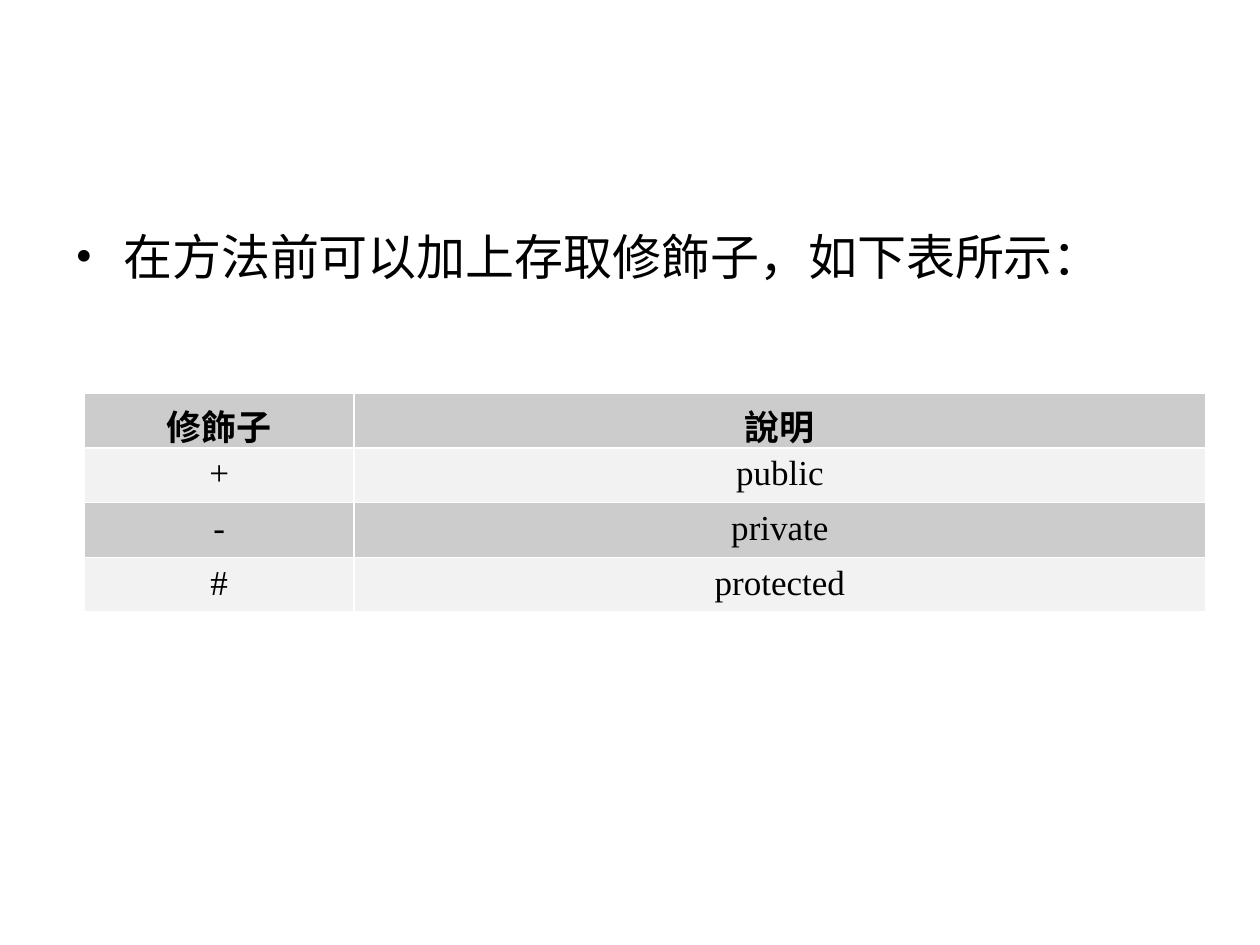
"""Slide on the access modifiers that may precede a method."""
from dataclasses import dataclass

from lxml.etree import SubElement
from pptx import Presentation
from pptx.dml.color import RGBColor
from pptx.enum.text import PP_ALIGN
from pptx.oxml.ns import qn
from pptx.util import Inches, Pt


@dataclass(frozen=True)
class Theme:
    """Colours, fonts and type sizes of the slide."""
    ink: str = "000000"
    line: str = "FFFFFF"
    dark_band: str = "CCCCCC"
    light_band: str = "F2F2F2"
    cjk_face: str = "Noto Sans CJK SC"
    latin_face: str = "Times New Roman"
    lead_size: int = 28
    table_size: int = 20
    line_width: float = 0.96


THEME = Theme()
MODIFIERS = [
    ("修飾子", "說明"),
    ("+", "public"),
    ("-", "private"),
    ("#", "protected"),
]


def style_paragraph(paragraph, face, size, bold=False):
    """Set the font of a paragraph for Latin and Chinese text."""
    font = paragraph.font
    font.name = face
    font.size = Pt(size)
    font.bold = bold
    font.color.rgb = RGBColor.from_string(THEME.ink)
    east_asian = SubElement(font._element, qn("a:ea"))
    east_asian.set("typeface", THEME.cjk_face)


def add_bullet(paragraph, indent):
    """Give a paragraph a round bullet with a hanging indent."""
    properties = paragraph._p.get_or_add_pPr()
    properties.set("marL", str(indent))
    properties.set("indent", str(-indent))
    colour = SubElement(properties, qn("a:buClr"))
    SubElement(colour, qn("a:srgbClr")).set("val", THEME.ink)
    SubElement(properties, qn("a:buFont")).set("typeface", THEME.latin_face)
    SubElement(properties, qn("a:buChar")).set("char", "•")


def add_borders(cell):
    """Draw thin lines on all four sides of a cell."""
    properties = cell._tc.get_or_add_tcPr()
    for side in ("lnL", "lnR", "lnT", "lnB"):
        border = SubElement(properties, qn(f"a:{side}"))
        border.set("w", str(Pt(THEME.line_width)))
        fill = SubElement(border, qn("a:solidFill"))
        SubElement(fill, qn("a:srgbClr")).set("val", THEME.line)


def add_lead(slide, left, top, width, height):
    """Place the bulleted sentence that introduces the table."""
    frame = slide.shapes.add_textbox(left, top, width, height).text_frame
    frame.word_wrap = True
    lead = frame.paragraphs[0]
    lead.text = "在方法前可以加上存取修飾子，如下表所示："
    add_bullet(lead, Inches(0.38))
    style_paragraph(lead, THEME.cjk_face, THEME.lead_size)


def add_modifier_table(slide, left, top, width, height):
    """Place the table of modifiers in alternating bands."""
    table = slide.shapes.add_table(
        len(MODIFIERS), len(MODIFIERS[0]), left, top, width, height).table
    symbol_width = Inches(2.14)
    table.columns[0].width = symbol_width
    table.columns[1].width = width - symbol_width
    for row, entries in enumerate(MODIFIERS):
        band = THEME.light_band if row % 2 else THEME.dark_band
        for column, entry in enumerate(entries):
            cell = table.cell(row, column)
            add_borders(cell)
            cell.fill.solid()
            cell.fill.fore_color.rgb = RGBColor.from_string(band)
            cell.text = entry
            label = cell.text_frame.paragraphs[0]
            label.alignment = PP_ALIGN.CENTER
            style_paragraph(label, THEME.latin_face, THEME.table_size, row == 0)


def main():
    """Build and save the slide."""
    presentation = Presentation()
    presentation.slide_width = Inches(10)
    presentation.slide_height = Inches(7.5)
    slide = presentation.slides.add_slide(presentation.slide_layouts[6])
    add_lead(slide, Inches(0.5), Inches(1.75), Inches(9), Inches(4.95))
    add_modifier_table(
        slide, Inches(0.67), Inches(3.12), Inches(8.9), Inches(1.74))
    presentation.save("out.pptx")


if __name__ == "__main__":
    main()
